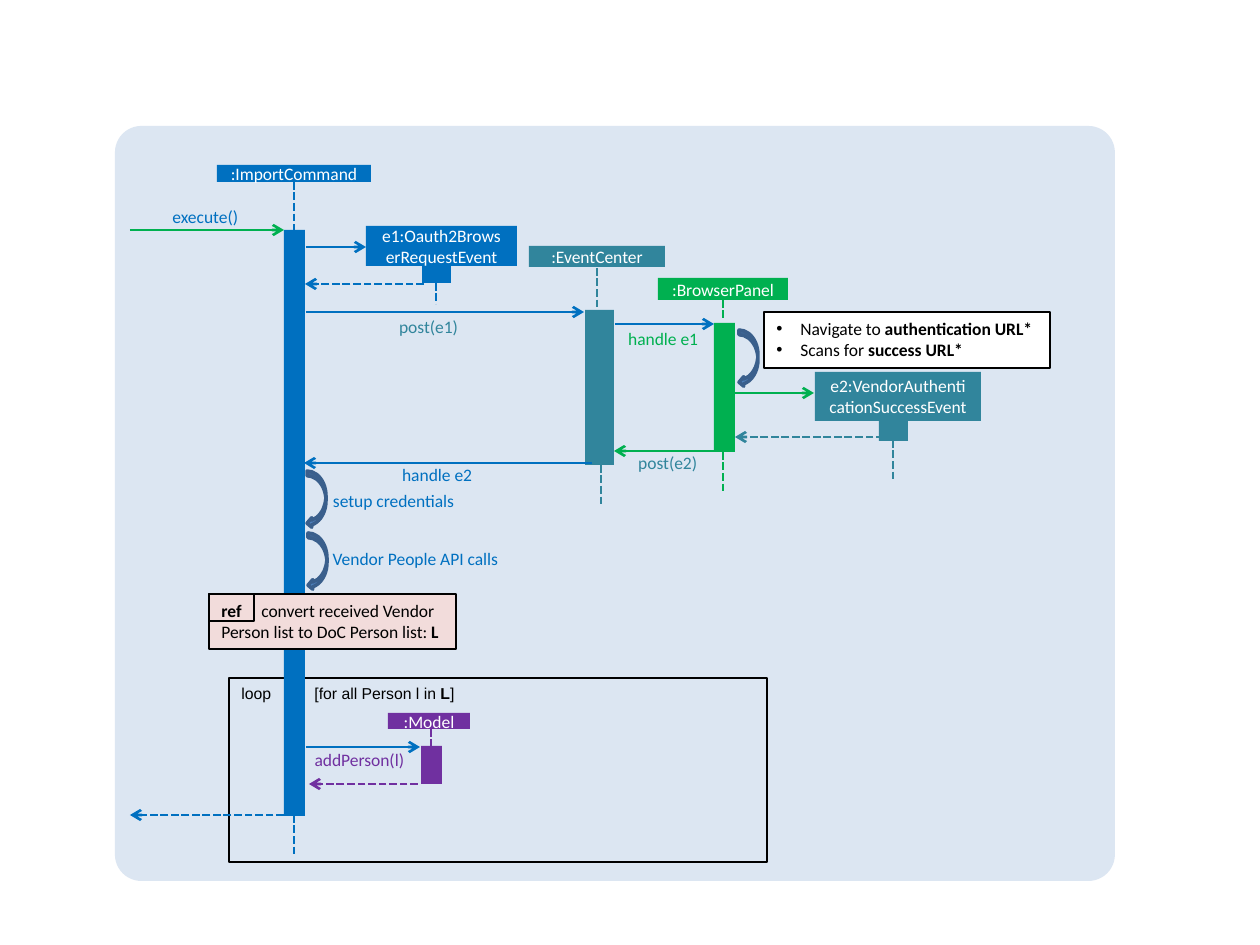
from lxml import etree
from pptx import Presentation
from pptx import util as u
from pptx.dml.color import RGBColor
from pptx.enum import dml, shapes, text
from pptx.oxml.ns import qn

SCALE = 914400 // 126  # EMU per pixel

THEME = {
    "panel": "DCE6F2", "command": "0070C0", "event": "31859C",
    "browser": "00B050", "model": "7030A0", "ref": "F2DCDB",
    "loop_arrow": "4F81BD", "loop_edge": "3A5F8C",
    "black": "000000", "white": "FFFFFF",
    "font": "Calibri", "loop_font": "Arial", "size": 10, "loop_size": 9,
    "line": 1.5, "border": 0.75, "loop_line": 2,
}

# Boxes: left, top, width, height
PANEL = (115, 126, 1000, 755)
LOOP = (229, 678, 538, 184)
NOTE = (764, 312, 286, 56)
REF = (209, 594, 247, 55)
REF_TAG = (209, 594, 45, 27)

LOOP_TEXT = [[("loop\t[for all Person l in ", False), ("L", True), ("]", False)]]
REF_TEXT = [[("ref\t", True),
             ("convert received Vendor Person list to DoC Person list: ", False),
             ("L", True)]]
NOTE_TEXT = [[("Navigate to ", False), ("authentication URL*", True)],
             [("Scans for ", False), ("success URL*", True)]]

PARTICIPANTS = [
    (":ImportCommand", "command", (217, 165, 154, 17)),
    ("e1:Oauth2BrowserRequestEvent", "command", (366, 226, 151, 40)),
    (":EventCenter", "event", (529, 246, 136, 21)),
    (":BrowserPanel", "browser", (658, 278, 130, 22)),
    ("e2:VendorAuthenticationSuccessEvent", "event", (815, 372, 166, 49)),
    (":Model", "model", (388, 713, 82, 16)),
]

ACTIVATIONS = [
    ("command", (284, 230, 21, 586)),
    ("command", (422, 266, 29, 17)),
    ("event", (585, 310, 29, 155)),
    ("browser", (714, 323, 21, 129)),
    ("event", (879, 421, 29, 20)),
    ("model", (421, 746, 21, 38)),
]

# Lifelines: colour, x, top, bottom
LIFELINES = [
    ("command", 294, 182, 540), ("command", 294, 815, 856),
    ("command", 436, 283, 304),
    ("event", 597, 268, 308), ("event", 601, 465, 505),
    ("browser", 723, 300, 320), ("browser", 723, 452, 491),
    ("event", 893, 440, 479), ("model", 431, 729, 748),
]

# Messages: colour, start x, end x, y, dashed
MESSAGES = [
    ("browser", 130, 284, 230, False),
    ("command", 306, 366, 247, False),
    ("command", 424, 305, 284, True),
    ("command", 306, 584, 312, False),
    ("command", 615, 714, 324, False),
    ("browser", 716, 814, 393, False),
    ("event", 884, 735, 437, True),
    ("browser", 718, 614, 451, False),
    ("command", 592, 304, 463, False),
    ("command", 306, 420, 747, False),
    ("model", 418, 309, 784, True),
    ("command", 284, 130, 815, True),
]

# Labels: text, colour, left, top, width
LABEL_HEIGHT = 21
LABELS = [
    ("execute()", "command", 42, 206, 196),
    ("post(e1)", "event", 393, 316, 65),
    ("handle e1", "browser", 592, 328, 106),
    ("post(e2)", "event", 630, 452, 67),
    ("handle e2", "command", 366, 464, 106),
    ("setup credentials", "command", 321, 490, 133),
    ("Vendor People API calls", "command", 316, 548, 182),
    ("addPerson(l)", "model", 298, 749, 106),
]

SELF_CALLS = [(739, 330), (307, 471), (308, 533)]
SELF_CALL_SIZE = (19, 57)


def color(name):
    return RGBColor.from_string(THEME[name])


def px(values):
    return [u.Emu(value * SCALE) for value in values]


def style_runs(frame, color_name, font="font", size="size"):
    for paragraph in frame.paragraphs:
        for run in paragraph.runs:
            run.font.name = THEME[font]
            run.font.size = u.Pt(THEME[size])
            run.font.color.rgb = color(color_name)


def add_box(box, fill=None, border=None, width="border", kind="RECTANGLE"):
    shape = slide.shapes.add_shape(getattr(shapes.MSO_SHAPE, kind), *px(box))
    shape.shadow.inherit = False
    if fill:
        shape.fill.solid()
        shape.fill.fore_color.rgb = color(fill)
    else:
        shape.fill.background()
    if border:
        shape.line.color.rgb = color(border)
        shape.line.width = u.Pt(THEME[width])
    else:
        shape.line.fill.background()
    return shape


def add_line(color_name, start, end, dashed=False, arrow=False):
    line = slide.shapes.add_connector(shapes.MSO_CONNECTOR.STRAIGHT,
                                      *px(start + end))
    line.line.color.rgb = color(color_name)
    line.line.width = u.Pt(THEME["line"])
    if dashed:
        line.line.dash_style = dml.MSO_LINE.SQUARE_DOT
        line.line._get_or_add_ln().find(qn("a:prstDash")).set("val", "sysDash")
    if arrow:
        etree.SubElement(line.line._get_or_add_ln(), qn("a:tailEnd"), type="arrow")
    etree.SubElement(line._element.spPr, qn("a:effectLst"))


def fill_text(shape, lines, font="font", size="size", tab=None, bullet=None):
    frame = shape.text_frame
    frame.word_wrap = True
    frame.vertical_anchor = text.MSO_ANCHOR.TOP
    for index, parts in enumerate(lines):
        paragraph = frame.add_paragraph() if index else frame.paragraphs[0]
        paragraph.alignment = text.PP_ALIGN.LEFT
        for words, bold in parts:
            run = paragraph.add_run()
            run.text = words
            run.font.bold = bold
        properties = paragraph._p.get_or_add_pPr()
        if bullet:
            indent = bullet * SCALE
            properties.set("marL", str(indent))
            properties.set("indent", str(-indent))
            etree.SubElement(properties, qn("a:buFont"), typeface="Arial")
            etree.SubElement(properties, qn("a:buChar"), char="•")
        if tab:
            stops = etree.SubElement(properties, qn("a:tabLst"))
            etree.SubElement(stops, qn("a:tab"), pos=str(tab * SCALE), algn="l")
    style_runs(frame, "black", font, size)


presentation = Presentation()
presentation.slide_width, presentation.slide_height = u.Inches(10), u.Inches(7.5)
slide = presentation.slides.add_slide(presentation.slide_layouts[6])

# Panel and loop frame
add_box(PANEL, "panel", kind="ROUNDED_RECTANGLE").adjustments[0] = 0.035
fill_text(add_box(LOOP, border="black"), LOOP_TEXT, "loop_font", "loop_size", tab=73)

# Lifelines, participants and activation bars
for name, x, top, bottom in LIFELINES:
    add_line(name, (x, top), (x, bottom), dashed=True)
for title, name, box in PARTICIPANTS:
    frame = add_box(box, name).text_frame
    frame.word_wrap = True
    frame.vertical_anchor = text.MSO_ANCHOR.MIDDLE
    frame.text = title
    frame.paragraphs[0].alignment = text.PP_ALIGN.CENTER
    style_runs(frame, "white")
for name, box in ACTIVATIONS:
    add_box(box, name)

# Messages and self calls
for name, start, end, y, dashed in MESSAGES:
    add_line(name, (start, y), (end, y), dashed, arrow=True)
for corner in SELF_CALLS:
    add_box(corner + SELF_CALL_SIZE, "loop_arrow", "loop_edge", "loop_line",
            "CURVED_LEFT_ARROW")

# Note and reference frame
fill_text(add_box(NOTE, "white", "black"), NOTE_TEXT, bullet=24)
fill_text(add_box(REF, "ref", "black"), REF_TEXT, tab=40)
add_box(REF_TAG, border="black")

# Message labels
for words, name, left, top, width in LABELS:
    frame = slide.shapes.add_textbox(*px((left, top, width, LABEL_HEIGHT))).text_frame
    frame.margin_left = frame.margin_right = frame.margin_top = frame.margin_bottom = 0
    frame.word_wrap = True
    frame.text = words
    frame.paragraphs[0].alignment = text.PP_ALIGN.RIGHT
    style_runs(frame, name)

presentation.save("out.pptx")
